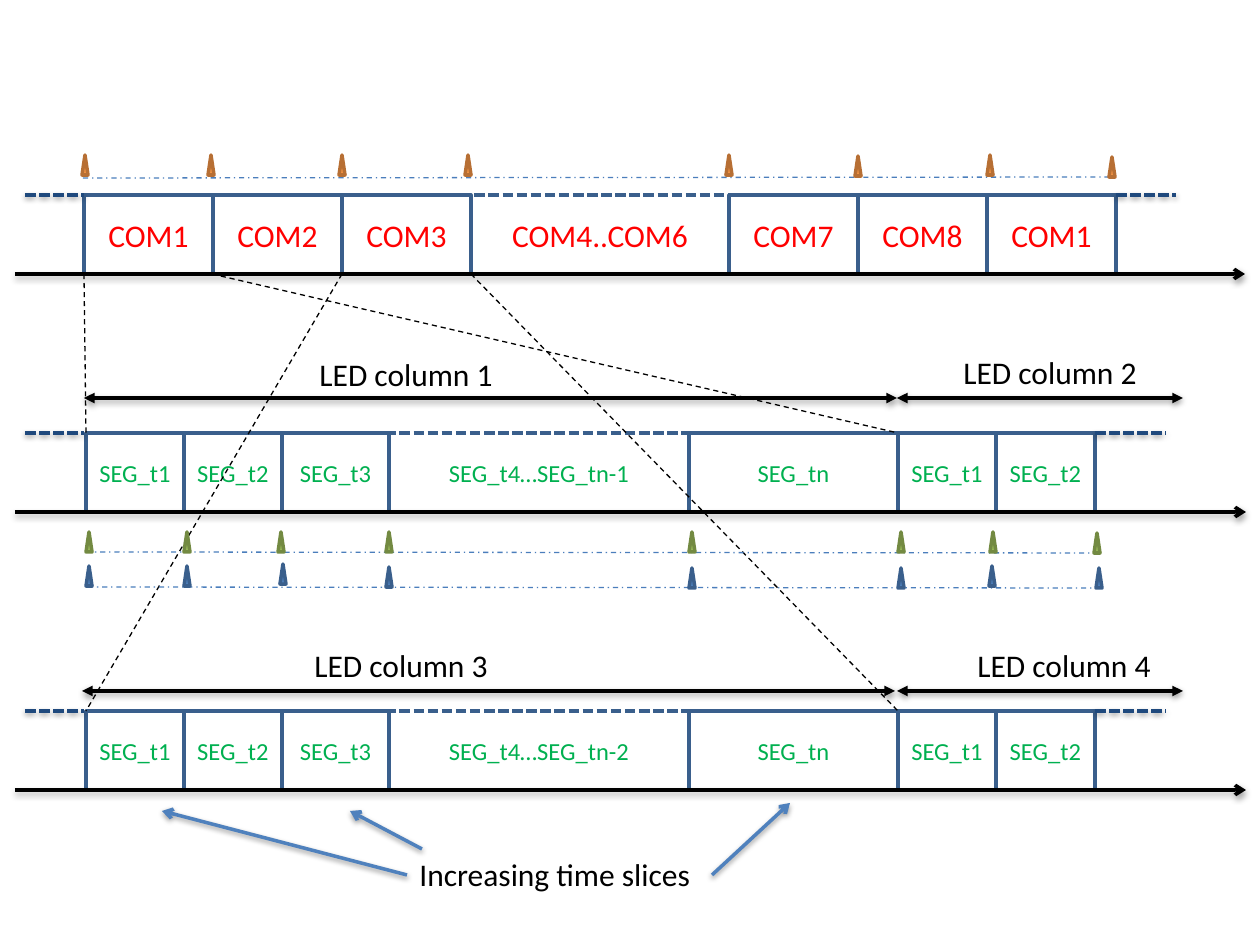
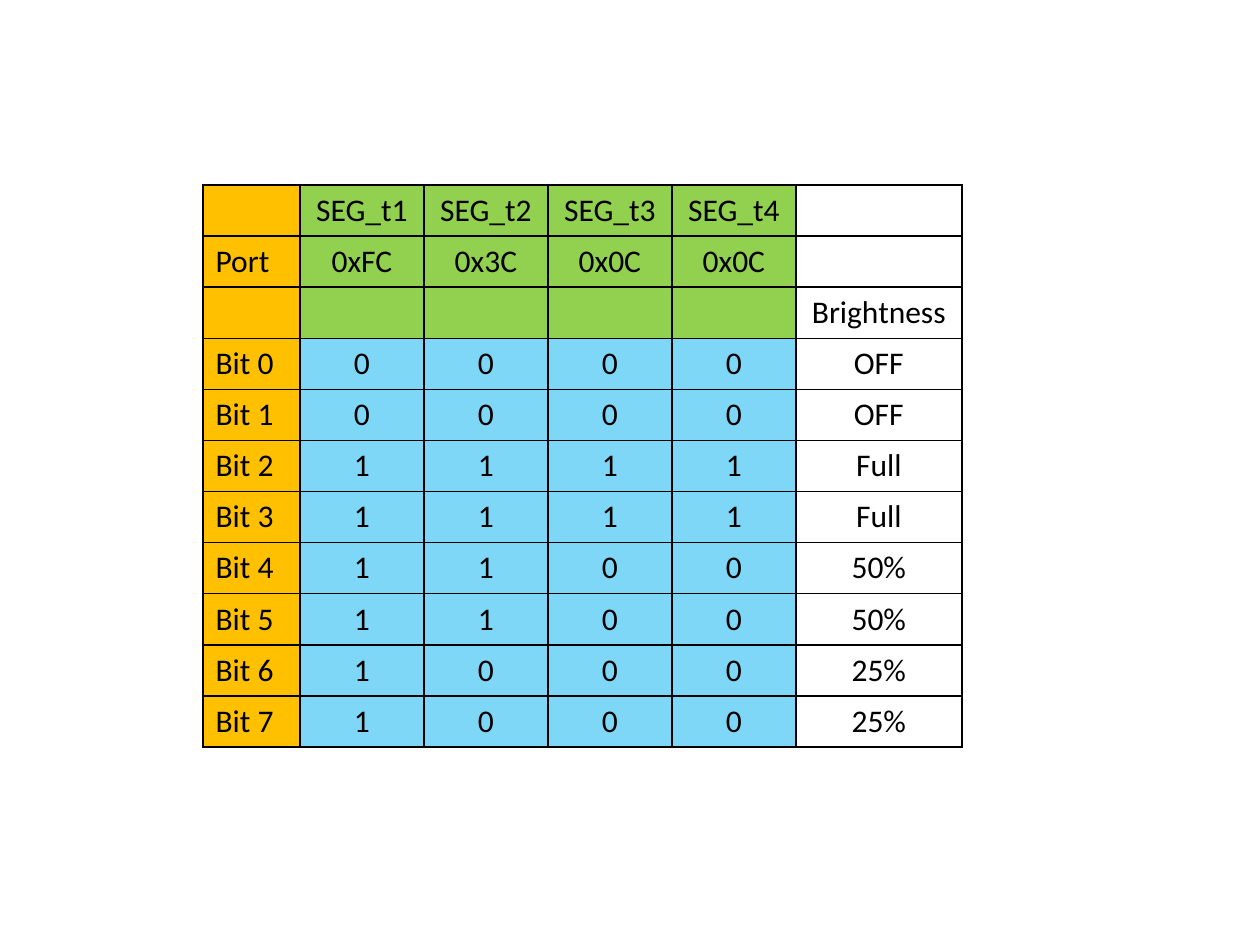
from itertools import pairwise

from pptx import Presentation
from pptx.dml.color import RGBColor
from pptx.enum.dml import MSO_LINE_DASH_STYLE as Dash
from pptx.enum.shapes import MSO_CONNECTOR as Connector, MSO_SHAPE as Shape
from pptx.enum.text import MSO_ANCHOR as Anchor, MSO_AUTO_SIZE as AutoSize, PP_ALIGN as Align
from pptx.oxml import parse_xml
from pptx.oxml.ns import nsdecls, qn
from pptx.oxml.xmlchemy import OxmlElement
from pptx.util import Emu, Pt

BLACK = RGBColor(0x00, 0x00, 0x00)
RED = RGBColor(0xFF, 0x00, 0x00)
GREEN = RGBColor(0x00, 0xB0, 0x50)
BLUE = RGBColor(0x4F, 0x81, 0xBD)
DARK_BLUE = RGBColor(0x3A, 0x5F, 0x8C)
NAVY = RGBColor(0x1F, 0x49, 0x7D)
GUIDE_BLUE = RGBColor(0x4B, 0x7E, 0xBC)
OLIVE = RGBColor(0x9B, 0xBB, 0x59)
DARK_OLIVE = RGBColor(0x73, 0x8A, 0x42)
ORANGE = RGBColor(0xF7, 0x96, 0x46)
DARK_ORANGE = RGBColor(0xB7, 0x6F, 0x34)
AMBER = RGBColor(0xFF, 0xC0, 0x00)
LIME = RGBColor(0x92, 0xD0, 0x50)
SKY = RGBColor(0x00, 0xB0, 0xF0)

SHADOW = (
    f'<a:effectLst {nsdecls("a")}><a:outerShdw blurRad="40000" dist="20000" dir="5400000"'
    ' rotWithShape="0"><a:srgbClr val="000000"><a:alpha val="38000"/></a:srgbClr>'
    '</a:outerShdw></a:effectLst>'
)
NO_SHADOW = f'<a:effectLst {nsdecls("a")}/>'

SLOT_HEIGHT = 79
COM_TOP, COLUMN_1_TOP, COLUMN_3_TOP = 195, 433, 711
COM_EDGES = [84 + 129 * step for step in (0, 1, 2, 3, 5, 6, 7, 8)]
SEGMENT_EDGES = [86, 184, 282, 389, 689, 898, 996, 1095]


def px(length):
    return Emu(round(length * 914400 / 126))


class Deck:
    """Holds the shared style and the slide being drawn."""

    font = "Calibri"
    text_size = 18
    line_width = 2

    def __init__(self):
        self.presentation = Presentation()
        self.presentation.slide_width = px(1260)
        self.presentation.slide_height = px(945)
        self.slide = None

    def new_slide(self):
        self.slide = self.presentation.slides.add_slide(self.presentation.slide_layouts[6])

    def set_text(self, frame, text, color=BLACK, size=text_size, align=Align.LEFT):
        paragraph = frame.paragraphs[0]
        paragraph.text = text
        paragraph.alignment = align
        paragraph.font.name = self.font
        paragraph.font.size = Pt(size)
        paragraph.font.color.rgb = color

    def shape(self, kind, left, top, width, height, outline):
        shape = self.slide.shapes.add_shape(kind, px(left), px(top), px(width), px(height))
        shape.shadow.inherit = False
        shape.fill.background()
        shape.line.color.rgb = outline
        shape.line.width = Pt(self.line_width)
        return shape

    def slot(self, left, right, top, text, color, size):
        """Draw one time slot; one that stands for several is dashed."""
        slot = self.shape(Shape.RECTANGLE, left, top, right - left, SLOT_HEIGHT, DARK_BLUE)
        if ".." in text or "…" in text:
            slot.line.dash_style = Dash.SQUARE_DOT
        frame = slot.text_frame
        frame.margin_left = frame.margin_right = 0
        frame.vertical_anchor = Anchor.MIDDLE
        self.set_text(frame, text, color, size, Align.CENTER)

    def label(self, left, top, width, text):
        box = self.slide.shapes.add_textbox(px(left), px(top), px(width), px(50))
        box.text_frame.word_wrap = True
        box.text_frame.auto_size = AutoSize.SHAPE_TO_FIT_TEXT
        self.set_text(box.text_frame, text)

    def line(self, start, end, color=BLACK, width=line_width, dash=None, head=None, tail=None,
             shadow=True):
        line = self.slide.shapes.add_connector(
            Connector.STRAIGHT, *(px(value) for value in (*start, *end)))
        line.line.color.rgb = color
        line.line.width = Pt(width)
        if dash:
            line.line.dash_style = dash
        properties = line.element.spPr
        for tag, arrow in (("a:headEnd", head), ("a:tailEnd", tail)):
            if arrow:
                arrow_end = OxmlElement(tag)
                arrow_end.set("type", arrow)
                properties.find(qn("a:ln")).append(arrow_end)
        properties.append(parse_xml(SHADOW if shadow else NO_SHADOW))

    def timeline(self, edges, top, names, color, size, lead_out, axis_end):
        """Draw a row of slots with its time axis and dashed continuations."""
        for (left, right), name in zip(pairwise(edges), names):
            self.slot(left, right, top, name, color, size)
        axis = top + SLOT_HEIGHT
        self.line((15, axis), (axis_end, axis), tail="arrow")
        for start, end in ((25, 84), lead_out):
            self.line((start, top), (end, top), NAVY, dash=Dash.SQUARE_DOT)

    def markers(self, lefts, tops, fill, outline, guide_start, guide_end):
        """Draw a row of small triangles on a thin guide line."""
        self.line(guide_start, guide_end, GUIDE_BLUE, 0.75, Dash.DASH_DOT, shadow=False)
        for left, top in zip(lefts, tops):
            marker = self.shape(Shape.ISOSCELES_TRIANGLE, left, top, 6, 20, outline)
            marker.fill.solid()
            marker.fill.fore_color.rgb = fill

    def table(self, left, top, widths, row_height, rows, fill_for):
        frame = self.slide.shapes.add_table(
            len(rows), len(widths), px(left), px(top), px(sum(widths)),
            px(row_height * len(rows)))
        table = frame.table
        table.first_row = table.horz_banding = False
        for column, width in zip(table.columns, widths):
            column.width = px(width)
        for row_index, row in enumerate(rows):
            table.rows[row_index].height = px(row_height)
            for column_index, text in enumerate(row):
                align = Align.CENTER if column_index else Align.LEFT
                cell = table.cell(row_index, column_index)
                self.set_text(cell.text_frame, text, align=align)
                self.cell_style(cell, fill_for(row_index, column_index))

    def cell_style(self, cell, fill):
        properties = cell._tc.get_or_add_tcPr()
        for side in ("lnL", "lnR", "lnT", "lnB"):
            properties.append(parse_xml(
                f'<a:{side} {nsdecls("a")} w="12700"><a:solidFill>'
                f'<a:srgbClr val="{BLACK}"/></a:solidFill></a:{side}>'))
        if fill is None:
            cell.fill.background()
            return
        cell.fill.solid()
        cell.fill.fore_color.rgb = fill
        if fill == SKY:
            alpha = OxmlElement("a:alpha")
            alpha.set("val", "50000")
            properties.find(qn("a:solidFill"))[0].append(alpha)


def draw_timing(deck):
    deck.new_slide()
    com_names = ["COM1", "COM2", "COM3", "COM4..COM6", "COM7", "COM8", "COM1"]
    deck.timeline(COM_EDGES, COM_TOP, com_names, RED, 18, (1116, 1176), 1245)
    for top, last in ((COLUMN_3_TOP, 2), (COLUMN_1_TOP, 1)):
        names = ["SEG_t1", "SEG_t2", "SEG_t3", f"SEG_t4…SEG_tn-{last}", "SEG_tn",
                 "SEG_t1", "SEG_t2"]
        deck.timeline(SEGMENT_EDGES, top, names, GREEN, 14, (1095, 1166), 1246)

    com_bottom = COM_TOP + SLOT_HEIGHT
    zooms = ((84, 86, COLUMN_1_TOP), (212, 898, COLUMN_1_TOP),
             (342, 86, COLUMN_3_TOP), (471, 898, COLUMN_3_TOP))
    for com_x, segment_x, top in zooms:
        deck.line((com_x, com_bottom), (segment_x, top), width=0.75, dash=Dash.DASH,
                  shadow=False)

    for start, end, y in ((84, 897, 398), (897, 1183, 398), (82, 895, 691), (897, 1183, 691)):
        deck.line((start, y), (end, y), head="triangle", tail="triangle")
    for left, top, width, text in (
        (307, 349, 233, "LED column 1"),
        (951, 347, 215, "LED column 2"),
        (302, 640, 242, "LED column 3"),
        (965, 640, 215, "LED column 4"),
        (407, 849, 307, "Increasing time slices"),
    ):
        deck.label(left, top, width, text)
    for start, end in (((407, 875), (162, 811)), ((422, 849), (350, 811)),
                       ((712, 875), (790, 803))):
        deck.line(start, end, BLUE, tail="arrow")

    deck.markers([82, 208, 339, 465, 726, 855, 987, 1109], [155] * 5 + [156, 155, 157],
                 ORANGE, DARK_ORANGE, (83, 178), (1115, 177))
    deck.markers([86, 184, 278, 386, 689, 898, 990, 1094], [532] * 7 + [533],
                 OLIVE, DARK_OLIVE, (86, 552), (1095, 553))
    deck.markers([86, 184, 280, 386, 689, 898, 989, 1096],
                 [566, 566, 564, 567, 568, 568, 566, 568],
                 BLUE, DARK_BLUE, (88, 587), (1099, 588))


def table_fill(row, column):
    if column == 0:
        return AMBER
    if column == 5:
        return None
    return LIME if row < 3 else SKY


def draw_brightness(deck):
    deck.new_slide()
    rows = [
        ["", "SEG_t1", "SEG_t2", "SEG_t3", "SEG_t4", ""],
        ["Port", "0xFC", "0x3C", "0x0C", "0x0C", ""],
        [""] * 5 + ["Brightness"],
    ]
    levels = [("0000", "OFF"), ("1111", "Full"), ("1100", "50%"), ("1000", "25%")]
    for bit in range(8):
        bits, brightness = levels[bit // 2]
        rows.append([f"Bit {bit}", *bits, brightness])
    deck.table(203, 185, [97, 124, 124, 124, 124, 166], 51, rows, table_fill)


def main():
    deck = Deck()
    draw_timing(deck)
    draw_brightness(deck)
    deck.presentation.save("out.pptx")


if __name__ == "__main__":
    main()
